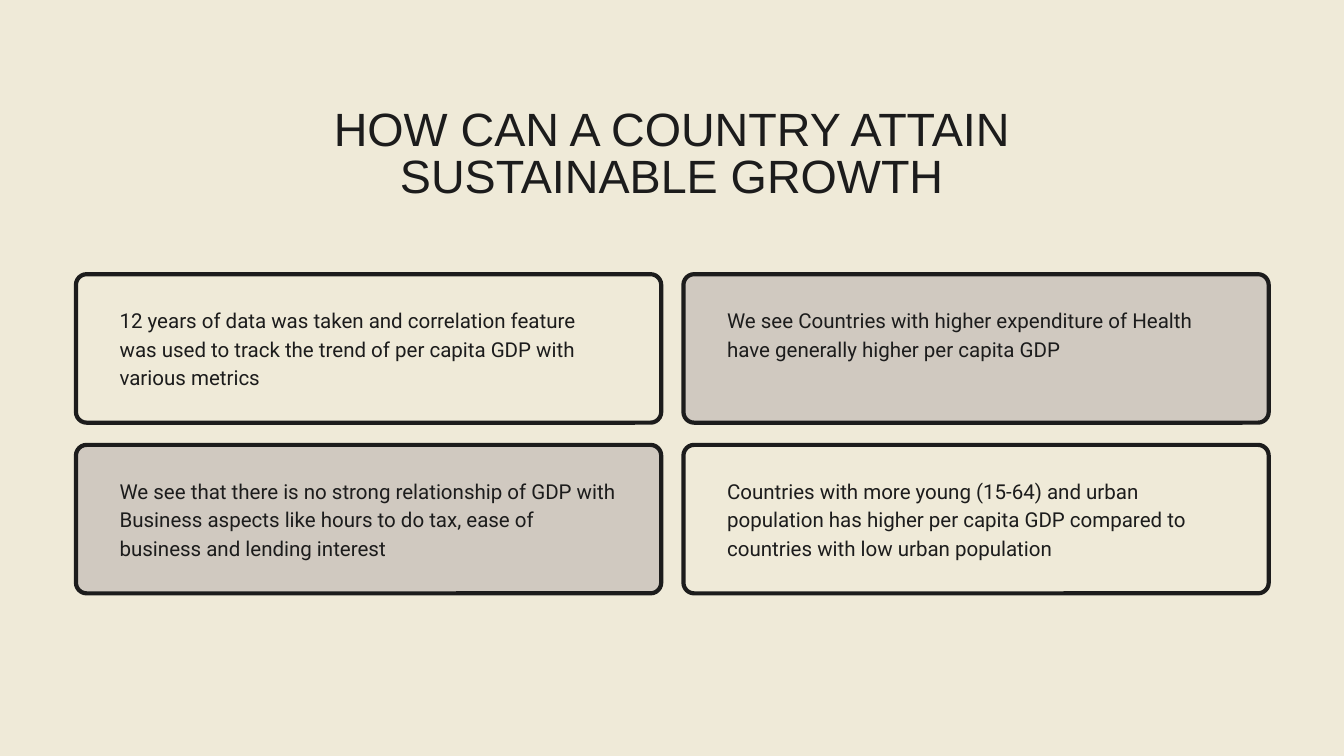
"""Build a slide with a title above a two by two grid of text cards."""
from dataclasses import dataclass

import pptx
import pptx.dml.color
import pptx.enum.shapes
import pptx.enum.text
import pptx.util


@dataclass(frozen=True)
class Theme:
    ink: str = "1C1C1C"
    cream: str = "EFEAD8"
    taupe: str = "D0C9C0"
    title_font: str = "Arial"
    body_font: str = "Roboto"
    title_size: float = 50
    title_leading: float = 50
    body_size: float = 22
    body_leading: float = 30.8
    border: float = 4.5


@dataclass(frozen=True)
class Grid:
    left: float = 1.13
    top: float = 4.08
    width: float = 8.71
    height: float = 2.21
    gap: float = 0.33
    pad_x: float = 0.65
    pad_y: float = 0.44
    radius: float = 0.16

    def cell(self, col: int, row: int) -> tuple[float, float]:
        return (self.left + col * (self.width + self.gap),
                self.top + row * (self.height + self.gap))


@dataclass(frozen=True)
class Card:
    col: int
    row: int
    fill: str
    lines: int
    text: str


WIDTH, HEIGHT = 20, 11.25
THEME = Theme()
GRID = Grid()
TITLE = "HOW CAN A COUNTRY ATTAIN SUSTAINABLE GROWTH"
CARDS = [
    Card(0, 0, THEME.cream, 3, "12 years of data was taken and correlation feature was used "
         "to track the trend of per capita GDP with various metrics"),
    Card(1, 0, THEME.taupe, 2, "We see Countries with higher expenditure of Health have "
         "generally higher per capita GDP"),
    Card(0, 1, THEME.taupe, 3, "We see that there is no strong relationship of GDP with "
         "Business aspects like hours to do tax, ease of business and lending interest"),
    Card(1, 1, THEME.cream, 3, "Countries with more young (15-64) and urban population has "
         "higher per capita GDP compared to countries with low urban population"),
]


def rgb(value: str) -> pptx.dml.color.RGBColor:
    return pptx.dml.color.RGBColor.from_string(value)


def box(*lengths: float) -> list[pptx.util.Length]:
    return [pptx.util.Inches(v) for v in lengths]


def write(sp, text: str, font: str, size: float, leading: float, align) -> None:
    tf = sp.text_frame
    tf.word_wrap = True
    tf.auto_size = pptx.enum.text.MSO_AUTO_SIZE.SHAPE_TO_FIT_TEXT
    tf.vertical_anchor = pptx.enum.text.MSO_ANCHOR.TOP
    tf.margin_left = tf.margin_right = tf.margin_top = tf.margin_bottom = 0
    p = tf.paragraphs[0]
    p.alignment = align
    p.line_spacing = pptx.util.Pt(leading)
    r = p.add_run()
    r.text = text
    r.font.name = font
    r.font.size = pptx.util.Pt(size)
    r.font.color.rgb = rgb(THEME.ink)


def draw_title(s, text: str) -> None:
    sp = s.shapes.title
    sp.left, sp.top, sp.width, sp.height = box(
        0.1455 * WIDTH, 0.145 * HEIGHT, 0.709 * WIDTH, 0.131 * HEIGHT)
    write(sp, text, THEME.title_font, THEME.title_size, THEME.title_leading,
          pptx.enum.text.PP_ALIGN.CENTER)


def draw_card(s, card: Card) -> None:
    x, y = GRID.cell(card.col, card.row)
    sp = s.shapes.add_shape(pptx.enum.shapes.MSO_SHAPE.ROUNDED_RECTANGLE,
                            *box(x, y, GRID.width, GRID.height))
    sp.adjustments[0] = GRID.radius / GRID.height
    sp.shadow.inherit = False
    sp.fill.solid()
    sp.fill.fore_color.rgb = rgb(card.fill)
    sp.line.color.rgb = rgb(THEME.ink)
    sp.line.width = pptx.util.Pt(THEME.border)

    tb = s.shapes.add_textbox(*box(
        x + GRID.pad_x, y + GRID.pad_y,
        GRID.width - 2 * GRID.pad_x, card.lines * THEME.body_leading / 72))
    write(tb, card.text, THEME.body_font, THEME.body_size, THEME.body_leading,
          pptx.enum.text.PP_ALIGN.LEFT)


def main() -> None:
    prs = pptx.Presentation()
    prs.slide_width, prs.slide_height = box(WIDTH, HEIGHT)
    s = prs.slides.add_slide(prs.slide_layouts.get_by_name("Title Only"))
    s.background.fill.solid()
    s.background.fill.fore_color.rgb = rgb(THEME.cream)
    draw_title(s, TITLE)
    for card in CARDS:
        draw_card(s, card)
    prs.save("out.pptx")


if __name__ == "__main__":
    main()
